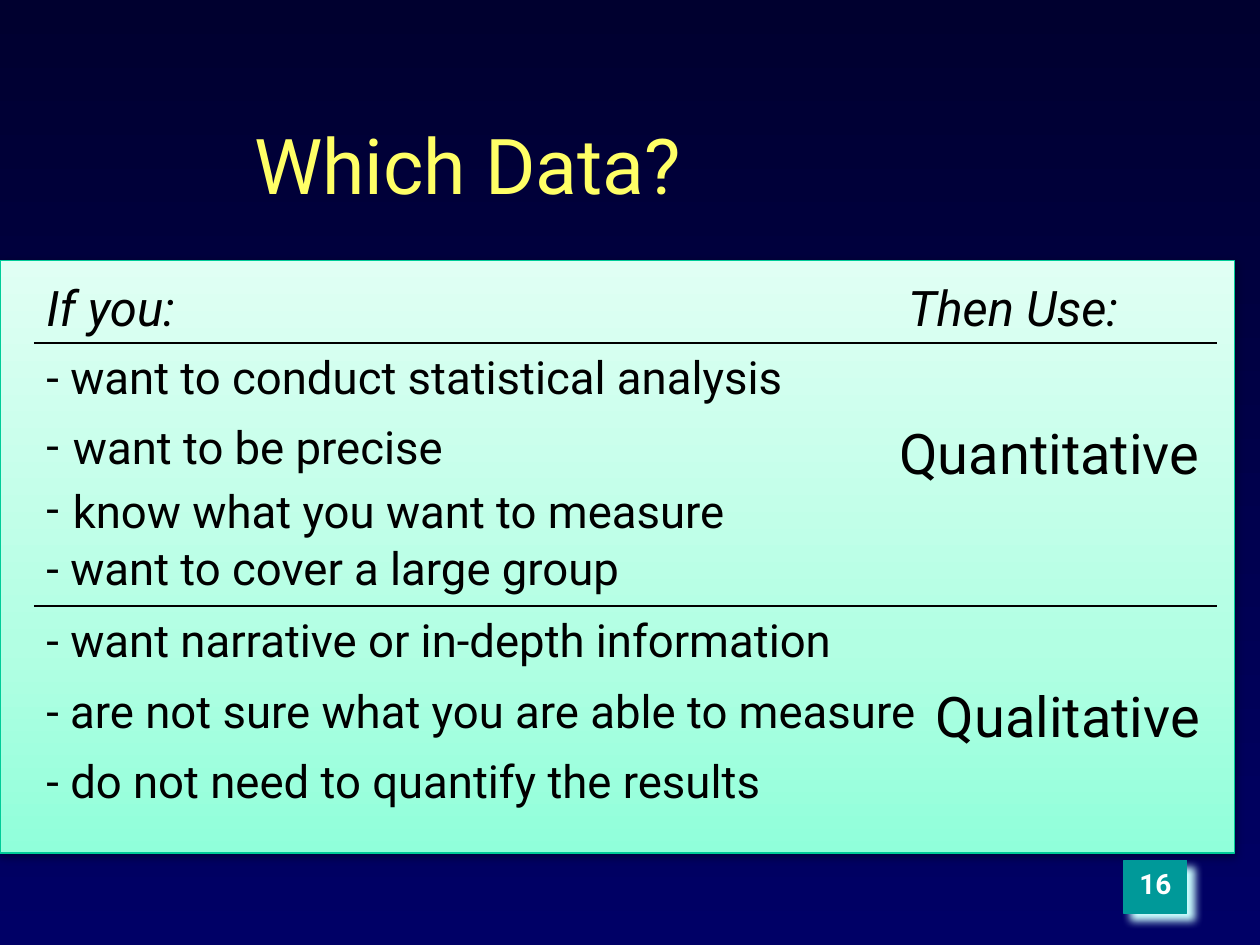
from copy import deepcopy
from dataclasses import dataclass

from lxml import etree
from pptx import Presentation
from pptx.dml.color import RGBColor
from pptx.enum import shapes, text
from pptx.oxml import ns
from pptx.util import Emu, Inches, Pt


@dataclass(frozen=True)
class Theme:
    font: str = "Roboto"
    ink: str = "000000"
    light: str = "FFFFFF"
    title: str = "FFFF66"
    badge: str = "009999"
    glow: str = "CCFFFF"
    edge: str = "00CC98"
    back: tuple = ((0, "00002F"), (1, "000066"))
    panel: tuple = ((0, "90FFDA"), (0.35, "B2FFE3"), (1, "E0FFF4"))
    title_size: int = 44
    answer_size: int = 32
    head_size: int = 28
    row_size: int = 26
    badge_size: int = 16


THEME = Theme()


def rgb(code):
    return RGBColor.from_string(code)


def sub(node, tag, **attrs):
    """Add a drawing element with the given attributes."""
    return etree.SubElement(node, ns.qn("a:" + tag), {k: str(v) for k, v in attrs.items()})


def blend(fill, owner, stops, angle):
    """Fill with a linear gradient of any number of stops."""
    fill.gradient()
    fill.gradient_angle = angle
    group = owner.xpath(".//a:gsLst")[0]
    while len(group) < len(stops):
        group.append(deepcopy(group[-1]))
    for stop, (place, code) in zip(fill.gradient_stops, stops):
        stop.position = place
        stop.color.rgb = rgb(code)


def shade(shape, code, alpha, blur, dist, angle):
    effects = sub(shape.element.spPr, "effectLst")
    shadow = sub(effects, "outerShdw", blurRad=Pt(blur), dist=Pt(dist),
                 dir=angle * 60000, algn="ctr", rotWithShape=0)
    sub(sub(shadow, "srgbClr", val=code), "alpha", val=alpha * 1000)


def write(para, words, size, color=THEME.ink, bold=False, italic=False):
    run = para.add_run()
    run.text = words
    font = run.font
    font.name, font.size = THEME.font, Pt(size)
    font.bold, font.italic = bold, italic
    font.color.rgb = rgb(color)


def frame(slide, left, top, width, height):
    box = slide.shapes.add_textbox(*map(Inches, (left, top, width, height)))
    box.text_frame.word_wrap = True
    return box.text_frame


def label(slide, box, words, size, **style):
    body = frame(slide, *box)
    write(body.paragraphs[0], words, size, **style)
    return body


def dashes(slide, box, lines):
    """Place lines as a list with hanging dash bullets."""
    body = frame(slide, *box)
    for i, words in enumerate(lines):
        para = body.add_paragraph() if i else body.paragraphs[0]
        props = para._p.get_or_add_pPr()
        props.set("marL", str(Inches(0.21)))
        props.set("indent", str(-Inches(0.21)))
        sub(sub(props, "buClr"), "srgbClr", val=THEME.ink)
        sub(props, "buFont", typeface=THEME.font)
        sub(props, "buChar", char="-")
        if i:
            para.space_before = Pt(5.2)
        write(para, words, THEME.row_size)


def block(slide, left, top, width, height):
    shape = slide.shapes.add_shape(
        shapes.MSO_SHAPE.RECTANGLE, *map(Inches, (left, top, width, height)))
    shape.line.width = Pt(0.75)
    return shape


def panel(slide, box):
    shape = block(slide, *box)
    blend(shape.fill, shape.element, THEME.panel, 90)
    shape.line.color.rgb = rgb(THEME.edge)
    shade(shape, THEME.ink, 38, 5, 1.6, 90)


def badge(slide, box, number):
    shape = block(slide, *box)
    shape.fill.solid()
    shape.fill.fore_color.rgb = shape.line.color.rgb = rgb(THEME.badge)
    shade(shape, THEME.glow, 100, 5, 5.7, 45)
    body = shape.text_frame
    body.vertical_anchor = text.MSO_ANCHOR.TOP
    para = body.paragraphs[0]
    para.alignment = text.PP_ALIGN.CENTER
    write(para, number, THEME.badge_size, THEME.light, bold=True)


def rule(slide, left, top, width):
    line = slide.shapes.add_connector(
        shapes.MSO_CONNECTOR.STRAIGHT, Inches(left), Inches(top),
        Inches(left + width), Inches(top))
    line.line.color.rgb = rgb(THEME.ink)
    line.line.width = Pt(1)
    sub(line.element.spPr, "effectLst")


def answer(slide, box, words):
    body = label(slide, box, words, THEME.answer_size)
    body.margin_top = Inches(0.6)


def guide(slide, box):
    """Place the criteria on the left and the advice on the right."""
    left, top, width, height = box
    right = left + width
    step, wide = 0.56, 6.72
    first, second = top + 0.57, top + 2.66

    def row(y, words, span=wide):
        label(slide, (left, y, span, step), words, THEME.row_size)

    for x, span, words in ((left, wide, "If you:"), (right - 2.55, 2.55, "Then Use:")):
        label(slide, (x, top, span, 0.57), words, THEME.head_size, italic=True)

    row(first, "- want to conduct statistical analysis")
    dashes(slide, (left, first + step, wide, 0.97),
           ("want to be precise", "know what you want to measure"))
    row(second - 0.57, "- want to cover a large group")

    lower = (("- want narrative or in-depth information", wide),
             ("- are not sure what you are able to measure", 7.24),
             ("- do not need to quantify the results", wide))
    for i, (words, span) in enumerate(lower):
        row(second + i * step, words, span)

    answer(slide, (right - 2.62, first, 2.62, second - first), "Quantitative")
    answer(slide, (right - 2.33, second, 2.33, top + height - second), "Qualitative")
    for y in (first, second):
        rule(slide, left, y, width)


def main():
    deck = Presentation()
    deck.slide_width, deck.slide_height = Inches(10), Inches(7.5)
    slide = deck.slides.add_slide(deck.slide_layouts[6])
    blend(slide.background.fill, slide.element, THEME.back, 270)
    panel(slide, (0, 2.07, 9.8, 4.7))
    badge(slide, (8.92, 6.83, 0.5, 0.42), "16")
    title = label(slide, (1.92, 0.67, 7.33, 1.25), "Which Data?",
                  THEME.title_size, color=THEME.title)
    title.vertical_anchor = text.MSO_ANCHOR.MIDDLE
    guide(slide, (0.27, 2.15, 9.39, 4.35))
    deck.save("out.pptx")


if __name__ == "__main__":
    main()
